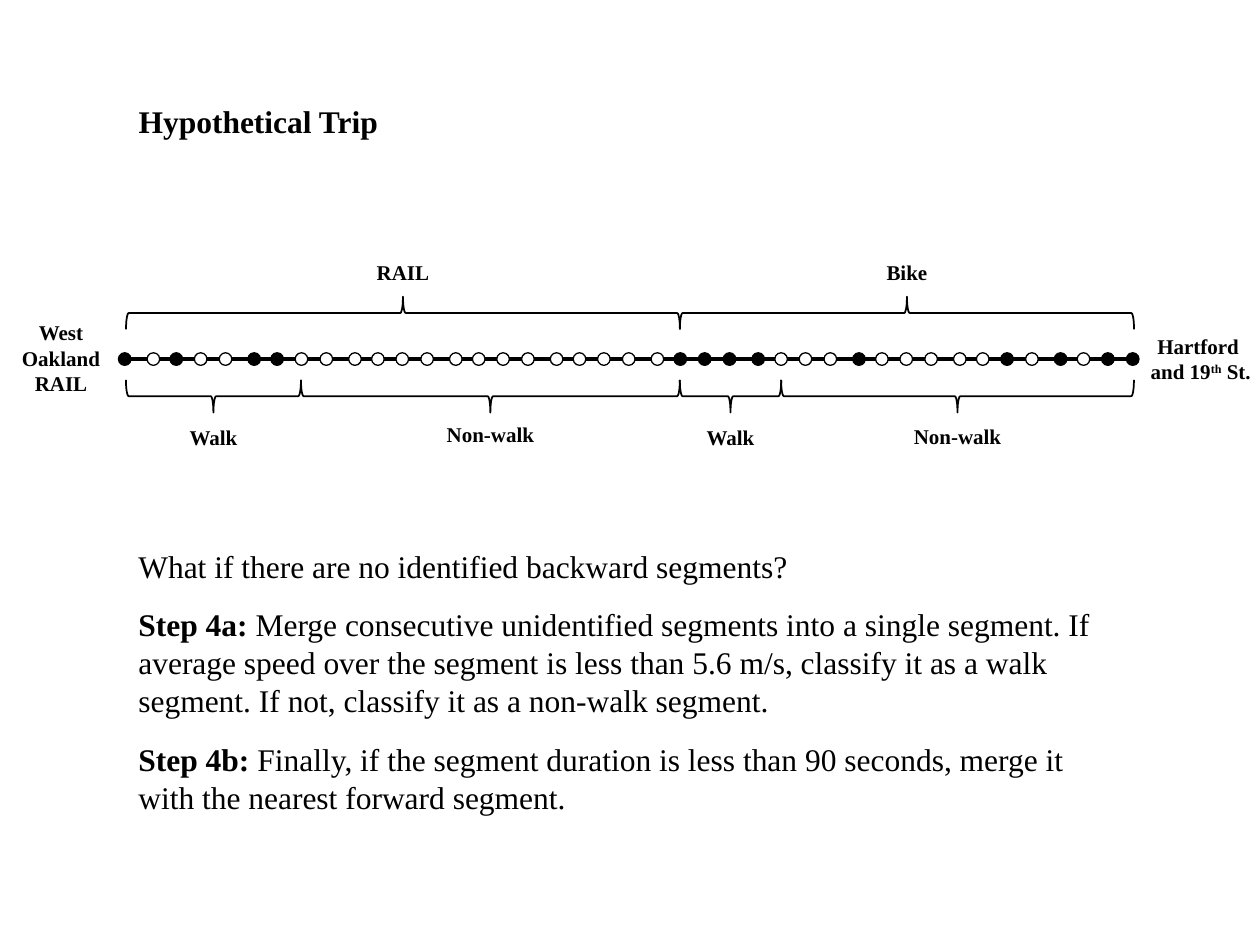
import pptx
import pptx.util
import pptx.dml.color
import pptx.enum.shapes
import pptx.enum.text
import pptx.oxml

Pt = pptx.util.Pt
Shape = pptx.enum.shapes.MSO_SHAPE
Align = pptx.enum.text.PP_ALIGN
BLACK = pptx.dml.color.RGBColor(0, 0, 0)
WHITE = pptx.dml.color.RGBColor(255, 255, 255)
FONT = "Times New Roman"

AXIS = 205.2
DOT = 7.2
START = 67.68
PERIOD = 57.6
STEPS = (0, 16.4, 29.5, 43.4)
COUNT = 41
FILLED = {0, 2, 5, 6, 22, 23, 24, 25, 29, 35, 37, 39, 40}
THICK = 18.72

MODES = [(72, 388.5, "RAIL"), (388.5, 648, "Bike")]
PACES = [
    (72, 172, "Walk", 239),
    (172, 388.5, "Non-walk", 237.6),
    (388.5, 446.4, "Walk", 239),
    (446.4, 648, "Non-walk", 238.3),
]
BODY = [
    ("", "What if there are no identified backward segments?"),
    ("Step 4a: ", "Merge consecutive unidentified segments into a single segment. "
     "If average speed over the segment is less than 5.6 m/s, classify it as a walk "
     "segment. If not, classify it as a non-walk segment."),
    ("Step 4b: ", "Finally, if the segment duration is less than 90 seconds, "
     "merge it with the nearest forward segment."),
]


def style(para, size, bold=None, align=None):
    para.font.name = FONT
    para.font.size = Pt(size)
    para.font.bold = bold
    para.font.color.rgb = BLACK
    para.alignment = align


def add_box(slide, left, top, width, height):
    box = slide.shapes.add_textbox(Pt(left), Pt(top), Pt(width), Pt(height))
    box.text_frame.word_wrap = True
    return box.text_frame


def add_label(slide, text, left, top, width, height):
    frame = add_box(slide, left, top, width, height)
    frame.text = text
    for para in frame.paragraphs:
        style(para, 12, True, Align.CENTER)
    return frame


def add_brace(slide, start, end, mid, turn):
    span = end - start
    brace = slide.shapes.add_shape(
        Shape.LEFT_BRACE, Pt((start + end - THICK) / 2), Pt(mid - span / 2),
        Pt(THICK), Pt(span))
    brace.rotation = turn
    brace.shadow.inherit = False
    brace.fill.background()
    brace.line.color.rgb = BLACK
    brace.line.width = Pt(1)


def add_part(slide, start, end, text, mid, turn, top):
    add_brace(slide, start, end, mid, turn)
    add_label(slide, text, (start + end) / 2 - 34.5, top, 69, 21.6)


def add_track(slide):
    line = slide.shapes.add_connector(
        pptx.enum.shapes.MSO_CONNECTOR.STRAIGHT,
        Pt(72), Pt(AXIS), Pt(643.7), Pt(AXIS))
    line.line.color.rgb = BLACK
    line.line.width = Pt(2)
    line._element.spPr.append(pptx.oxml.parse_xml(
        '<a:effectLst xmlns:a="http://schemas.openxmlformats.org/drawingml/2006/main"/>'))
    for index in range(COUNT):
        group, step = divmod(index, len(STEPS))
        dot = slide.shapes.add_shape(
            Shape.OVAL, Pt(START + group * PERIOD + STEPS[step]),
            Pt(AXIS - DOT / 2), Pt(DOT), Pt(DOT))
        dot.shadow.inherit = False
        dot.fill.solid()
        dot.fill.fore_color.rgb = BLACK if index in FILLED else WHITE
        dot.line.color.rgb = BLACK
        dot.line.width = Pt(0.75)


def add_ends(slide):
    add_label(slide, "West Oakland RAIL", 3.6, 179.3, 62.6, 51.1)
    frame = add_label(slide, "Hartford \nand 19", 648, 187.2, 76.3, 36)
    para = frame.paragraphs[1]
    power = para.add_run()
    power.text = "th"
    power._r.get_or_add_rPr().set("baseline", "30000")
    para.add_run().text = " St."


def add_title(slide):
    title = slide.shapes.title
    title.left, title.top = Pt(72), Pt(54.7)
    title.width, title.height = Pt(578.9), Pt(28.8)
    frame = title.text_frame
    frame.text = "Hypothetical Trip"
    frame.vertical_anchor = pptx.enum.text.MSO_ANCHOR.TOP
    style(frame.paragraphs[0], 18, True, Align.JUSTIFY)


def add_body(slide):
    frame = add_box(slide, 72, 308.9, 578.9, 162.7)
    for index, (lead, text) in enumerate(BODY):
        para = frame.add_paragraph() if index else frame.paragraphs[0]
        style(para, 18)
        para.space_after = Pt(12)
        if lead:
            run = para.add_run()
            run.text = lead
            run.font.bold = True
        para.add_run().text = text


def main():
    deck = pptx.Presentation()
    deck.slide_width, deck.slide_height = Pt(720), Pt(540)
    slide = deck.slides.add_slide(deck.slide_layouts[5])
    add_title(slide)
    for start, end, text in MODES:
        add_part(slide, start, end, text, 178.9, 90, 144.7)
    for start, end, text, top in PACES:
        add_part(slide, start, end, text, 226.4, 270, top)
    add_track(slide)
    add_ends(slide)
    add_body(slide)
    deck.save("out.pptx")


if __name__ == "__main__":
    main()
